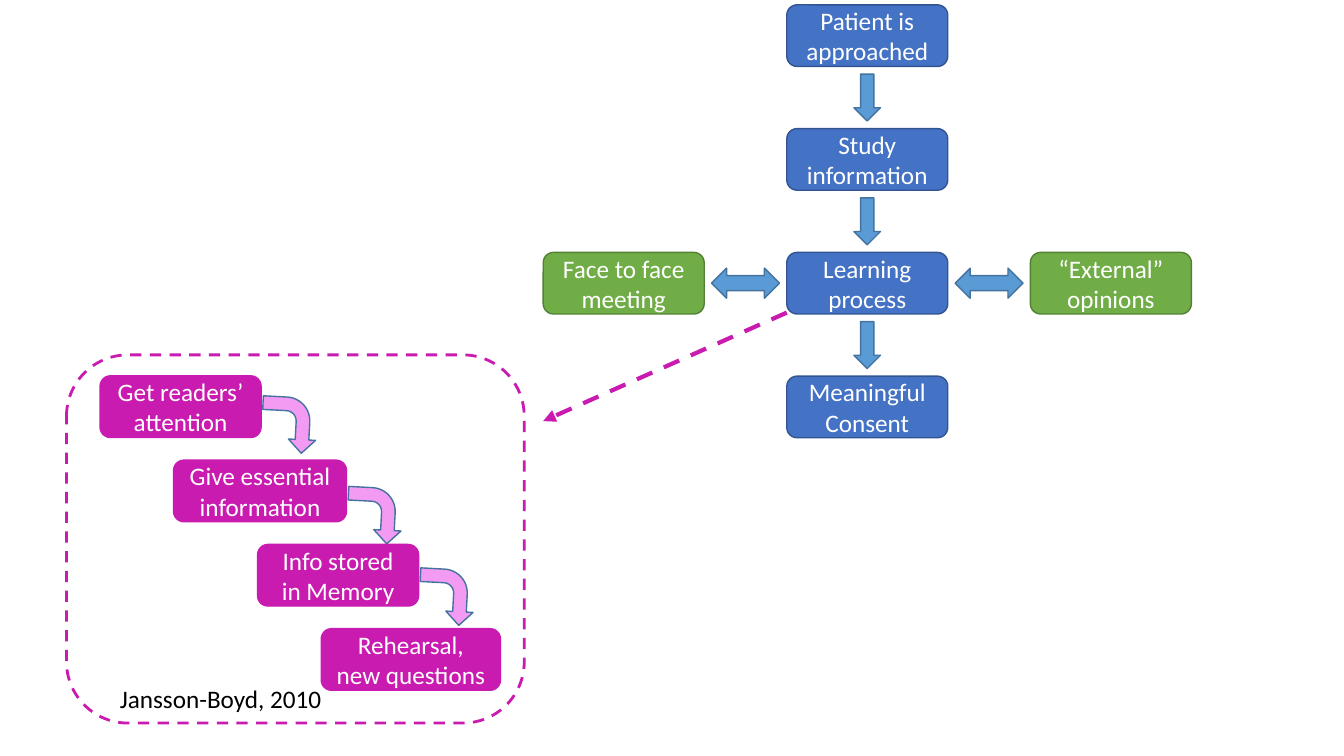
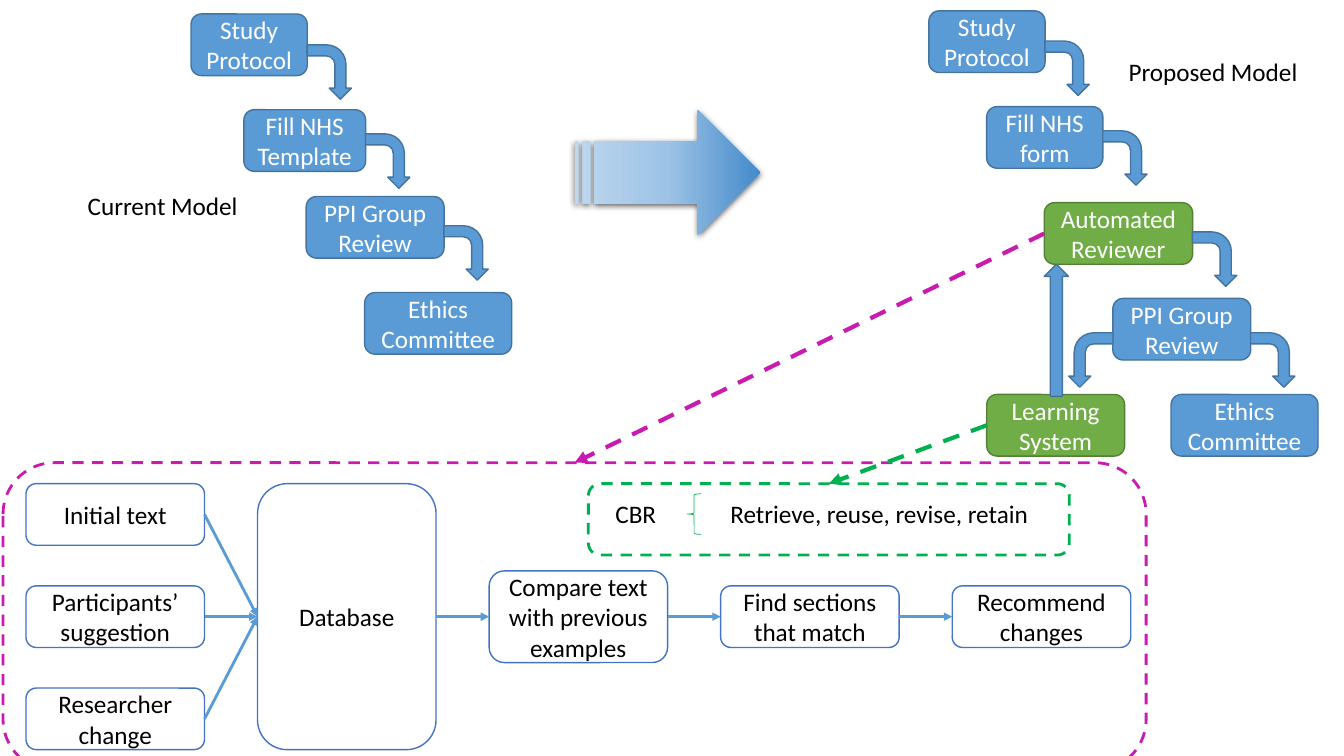
from collections import namedtuple
from dataclasses import dataclass

from lxml import etree
from pptx import Presentation
from pptx.dml.color import RGBColor
from pptx.enum.dml import MSO_LINE
from pptx.enum.shapes import MSO_CONNECTOR, MSO_SHAPE
from pptx.enum.text import MSO_ANCHOR, MSO_AUTO_SIZE, PP_ALIGN
from pptx.oxml.ns import qn
from pptx.util import Pt

ROUNDED = MSO_SHAPE.ROUNDED_RECTANGLE
BENT = MSO_SHAPE.BENT_ARROW
DOWN = MSO_SHAPE.DOWN_ARROW
UP = MSO_SHAPE.UP_ARROW
TWO_WAY = MSO_SHAPE.LEFT_RIGHT_ARROW
STRIPED = MSO_SHAPE.STRIPED_RIGHT_ARROW
BRACE = MSO_SHAPE.LEFT_BRACE
STRAIGHT = MSO_CONNECTOR.STRAIGHT
DASH = MSO_LINE.DASH
CENTER, LEFT = PP_ALIGN.CENTER, PP_ALIGN.LEFT
MIDDLE, TOP = MSO_ANCHOR.MIDDLE, MSO_ANCHOR.TOP
FIT = MSO_AUTO_SIZE.SHAPE_TO_FIT_TEXT
# Connection sites of a rounded rectangle
SITE_TOP, SITE_LEFT, SITE_RIGHT = 0, 1, 3

Box = namedtuple("Box", "left top width height")
Look = namedtuple("Look", "fill line text")
# drop is the distance from the top of a step to the centre of its arrow
Step = namedtuple("Step", "text left top width drop look")


@dataclass(frozen=True)
class Theme:
    font: str = "Calibri"
    size: float = 18
    row: float = 44
    thin: float = 1
    medium: float = 2
    thick: float = 3
    black: str = "000000"
    magenta: str = "C91BB0"
    green: str = "00B050"
    sky: str = "5B9BD5"
    royal_box: Look = Look("4472C4", "325491", "FFFFFF")
    sky_box: Look = Look("5B9BD5", "43739E", "FFFFFF")
    green_box: Look = Look("70AD47", "538035", "FFFFFF")
    magenta_box: Look = Look("C91BB0", "C91BB0", "FFFFFF")
    white_box: Look = Look("FFFFFF", "4472C4", "000000")
    pink_arrow: Look = Look("F39BF3", "43739E", "000000")
    gradient: tuple = ((0, "BDD7EE"), (50, "9DC3E6"), (100, "448ACA"))


THEME = Theme()


def rgb(code):
    return RGBColor.from_string(code)


def write(shape, text, *, color=THEME.black, align=LEFT, anchor=TOP, wrap=True):
    frame = shape.text_frame
    frame.word_wrap = wrap
    frame.vertical_anchor = anchor
    para = frame.paragraphs[0]
    para.alignment = align
    span = para.add_run()
    span.text = text
    span.font.name = THEME.font
    span.font.size = Pt(THEME.size)
    span.font.color.rgb = rgb(color)


def add_label(page, text, left, top, width):
    label = page.shapes.add_textbox(Pt(left), Pt(top), Pt(width), Pt(29))
    write(label, text, wrap=False)
    label.text_frame.auto_size = FIT


def add_figure(page, kind, box, *, fill=None, line=None, weight=THEME.thin, dash=None):
    shape = page.shapes.add_shape(kind, *(Pt(length) for length in box))
    shape.shadow.inherit = False
    if fill:
        shape.fill.solid()
        shape.fill.fore_color.rgb = rgb(fill)
    else:
        shape.fill.background()
    if line:
        shape.line.color.rgb = rgb(line)
        shape.line.width = Pt(weight)
        if dash:
            shape.line.dash_style = dash
    else:
        shape.line.fill.background()
    return shape


def add_node(page, text, box, look):
    shape = add_figure(page, ROUNDED, box, fill=look.fill, line=look.line)
    write(shape, text, color=look.text, align=CENTER, anchor=MIDDLE)
    return shape


def add_panel(page, box, color):
    return add_figure(page, ROUNDED, box, line=color, weight=THEME.medium, dash=DASH)


def add_block_arrow(page, kind, center, size, look):
    (x, y), (width, height) = center, size
    box = Box(x - width / 2, y - height / 2, width, height)
    return add_figure(page, kind, box, fill=look.fill, line=look.line)


def add_arrow(page, start, end, color, *, weight, dash=None):
    connector = page.shapes.add_connector(STRAIGHT, *(Pt(n) for n in (*start, *end)))
    connector.line.color.rgb = rgb(color)
    connector.line.width = Pt(weight)
    if dash:
        connector.line.dash_style = dash
    properties = connector.element.spPr
    etree.SubElement(properties.find(qn("a:ln")), qn("a:tailEnd"), type="triangle")
    etree.SubElement(properties, qn("a:effectLst"))
    return connector


def link(page, source, source_site, target, target_site, color, *, weight, dash=None):
    arrow = add_arrow(page, (0, 0), (9, 9), color, weight=weight, dash=dash)
    arrow.begin_connect(source, source_site)
    arrow.end_connect(target, target_site)


def cascade(page, origin, steps, *, arrow_look, arrow_size, reach, turn):
    """Boxes going down in steps, each joined to the next by a bent arrow."""
    left, top = origin
    nodes = []
    for step in steps:
        box = Box(left + step.left, top + step.top, step.width, THEME.row)
        nodes.append(add_node(page, step.text, box, step.look))
        if step.drop:
            center = box.left + box.width + reach, box.top + step.drop
            add_block_arrow(page, BENT, center, arrow_size, arrow_look).rotation = turn
    return nodes


def consent_flow(page, box):
    """Main column with one side box on each side of the third step."""
    width, pitch_x, pitch_y = 115, 174, 88.4
    middle = box.left + pitch_x
    axis = middle + width / 2
    steps = ("Patient is approached", "Study information",
             "Learning process", "Meaningful Consent")
    for index, text in enumerate(steps):
        top = box.top + index * pitch_y
        add_node(page, text, Box(middle, top, width, THEME.row), THEME.royal_box)
        if index:
            center = axis, top - (pitch_y - THEME.row) / 2
            add_block_arrow(page, DOWN, center, (19, 33.5), THEME.sky_box)
    top = box.top + 2 * pitch_y
    for side, text in ((-1, "Face to face meeting"), (1, "“External” opinions")):
        side_box = Box(middle + side * pitch_x, top, width, THEME.row)
        add_node(page, text, side_box, THEME.green_box)
        center = axis + side * pitch_x / 2, top + THEME.row / 2
        add_block_arrow(page, TWO_WAY, center, (48.5, 21.5), THEME.sky_box)
    # Pointer from the learning process to its details
    add_arrow(page, (middle, top + THEME.row - 1), (box.left, top + 120.5),
              THEME.magenta, weight=THEME.thick, dash=DASH)


def learning_panel(page, box):
    pitch, look = 60.2, THEME.magenta_box
    steps = (Step("Get readers’ attention", 0, 0, 115, 35, look),
             Step("Give essential information", 52.5, pitch, 123.5, 39.5, look),
             Step("Info stored in Memory", 112.5, 2 * pitch, 115, 37.5, look),
             Step("Rehearsal, new questions", 158, 3 * pitch, 128, 0, look))
    cascade(page, (box.left + 24, box.top + 15), steps, arrow_look=THEME.pink_arrow,
            arrow_size=(39.6, 38.9), reach=20, turn=93)
    add_panel(page, box, THEME.magenta)
    add_label(page, "Jansson-Boyd, 2010", box.left + 31, box.top + 231, 160)


def model_cascade(page, origin, steps):
    return cascade(page, origin, steps, arrow_look=THEME.sky_box,
                   arrow_size=(38.9, 31.7), reach=15.7, turn=90)


def current_model(page, box):
    look = THEME.sky_box
    steps = (Step("Study Protocol", 0, 0, 83, 41.5, look),
             Step("Fill NHS Template", 37.7, 68.4, 87, 36.7, look),
             Step("PPI Group Review", 82.2, 130.4, 98.5, 40.3, look),
             Step("Ethics Committee", 124, 199, 105, 0, look))
    model_cascade(page, (box.left, box.top), steps)
    add_label(page, "Current Model", box.left - 81, box.top + 122.5, 123)


def proposed_model(page, box):
    look = THEME.sky_box
    steps = (Step("Study Protocol", 0, 0, 83, 41, look),
             Step("Fill NHS form", 41.3, 68.4, 83, 36.7, look),
             Step("Automated Reviewer", 82.4, 137, 106, 40.3, THEME.green_box),
             Step("PPI Group Review", 131.4, 205.4, 98.5, 44, look),
             Step("Ethics Committee", 173, 274, 105, 0, look))
    nodes = model_cascade(page, (box.left, box.top), steps)
    add_label(page, "Proposed Model", box.left + 135.5, box.top + 29, 140)

    # Feedback branch: mirrored bent arrow, learning box, arrow back up
    review = steps[3]
    center = box.left + review.left - 15.7, box.top + review.top + review.drop
    mirrored = add_block_arrow(page, BENT, center, (38.9, 31.7), look)
    mirrored.rotation = 270
    mirrored.element.spPr.find(qn("a:xfrm")).set("flipH", "1")
    system_box = Box(box.left + 41.3, box.top + 274, 98.5, THEME.row)
    system = add_node(page, "Learning System", system_box, THEME.green_box)
    back = Box(box.left + 82.4, box.top + 137 + THEME.row, 17.3, 94.3)
    add_figure(page, UP, back, fill=look.fill, line=look.line)
    return nodes[2], system


def transition_arrow(page, box):
    arrow = add_figure(page, STRIPED, box)
    arrow.fill.gradient()
    arrow.fill.gradient_angle = 0
    properties = arrow.element.spPr
    stops = properties.find(qn("a:gradFill")).find(qn("a:gsLst"))
    for stop in list(stops):
        stops.remove(stop)
    for position, color in THEME.gradient:
        stop = etree.SubElement(stops, qn("a:gs"), pos=str(position * 1000))
        etree.SubElement(stop, qn("a:srgbClr"), val=color)
    shadow = etree.SubElement(properties.find(qn("a:effectLst")), qn("a:outerShdw"),
                              blurRad=str(Pt(4.5)), dist=str(Pt(1.5)),
                              dir="5400000", algn="ctr", rotWithShape="0")
    color = etree.SubElement(shadow, qn("a:srgbClr"), val=THEME.black)
    etree.SubElement(color, qn("a:alpha"), val="63000")


def reviewer_panel(page, box):
    """Inputs, database and the three checks that follow it."""
    width, pitch_x, pitch_y = 127.5, 165.4, 73
    left, top = box.left + 16.4, box.top + 15
    middle = top + pitch_y + THEME.row / 2

    def place(text, column, center, height):
        place_box = Box(left + column * pitch_x, center - height / 2, width, height)
        return add_node(page, text, place_box, THEME.white_box)

    def join(source, target):
        link(page, source, SITE_RIGHT, target, SITE_LEFT, THEME.sky, weight=THEME.medium)

    database = place("Database", 1, middle, 2 * pitch_y + THEME.row)
    inputs = ("Initial text", "Participants’ suggestion", "Researcher change")
    for row, text in enumerate(inputs):
        join(place(text, 0, middle + (row - 1) * pitch_y, THEME.row), database)
    previous = database
    checks = (("Compare text with previous examples", 65.5),
              ("Find sections that match", THEME.row), ("Recommend changes", THEME.row))
    for column, (text, height) in enumerate(checks, start=2):
        node = place(text, column, middle, height)
        join(previous, node)
        previous = node
    return add_panel(page, box, THEME.magenta)


def reasoning_panel(page, box):
    top = box.top + 7.2
    add_label(page, "CBR", box.left + 12.2, top, 44)
    add_label(page, "Retrieve, reuse, revise, retain", box.left + 94.3, top, 230)
    add_figure(page, BRACE, Box(box.left + 70.5, top, 10, 29), line=THEME.green, weight=0.5)
    return add_panel(page, box, THEME.green)


def consent_slide(page):
    consent_flow(page, Box(388, 3.5, 463, 309))
    learning_panel(page, Box(47.5, 253.5, 327, 263))


def model_slide(page):
    current_model(page, Box(136.5, 10, 229, 243))
    transition_arrow(page, Box(410.5, 78.5, 132.5, 89.5))
    reviewer, system = proposed_model(page, Box(663.5, 7.8, 278, 318))
    details = reviewer_panel(page, Box(2.2, 330.5, 816.5, 220))
    reasoning = reasoning_panel(page, Box(420.3, 345.5, 343.5, 51))
    # Pointers from the green boxes to their details
    for source, target, color in ((reviewer, details, THEME.magenta),
                                  (system, reasoning, THEME.green)):
        link(page, source, SITE_LEFT, target, SITE_TOP, color,
             weight=THEME.thick, dash=DASH)


def main():
    deck = Presentation()
    deck.slide_width, deck.slide_height = Pt(960), Pt(540)
    for build in (consent_slide, model_slide):
        build(deck.slides.add_slide(deck.slide_layouts[6]))
    deck.save("out.pptx")


if __name__ == "__main__":
    main()
